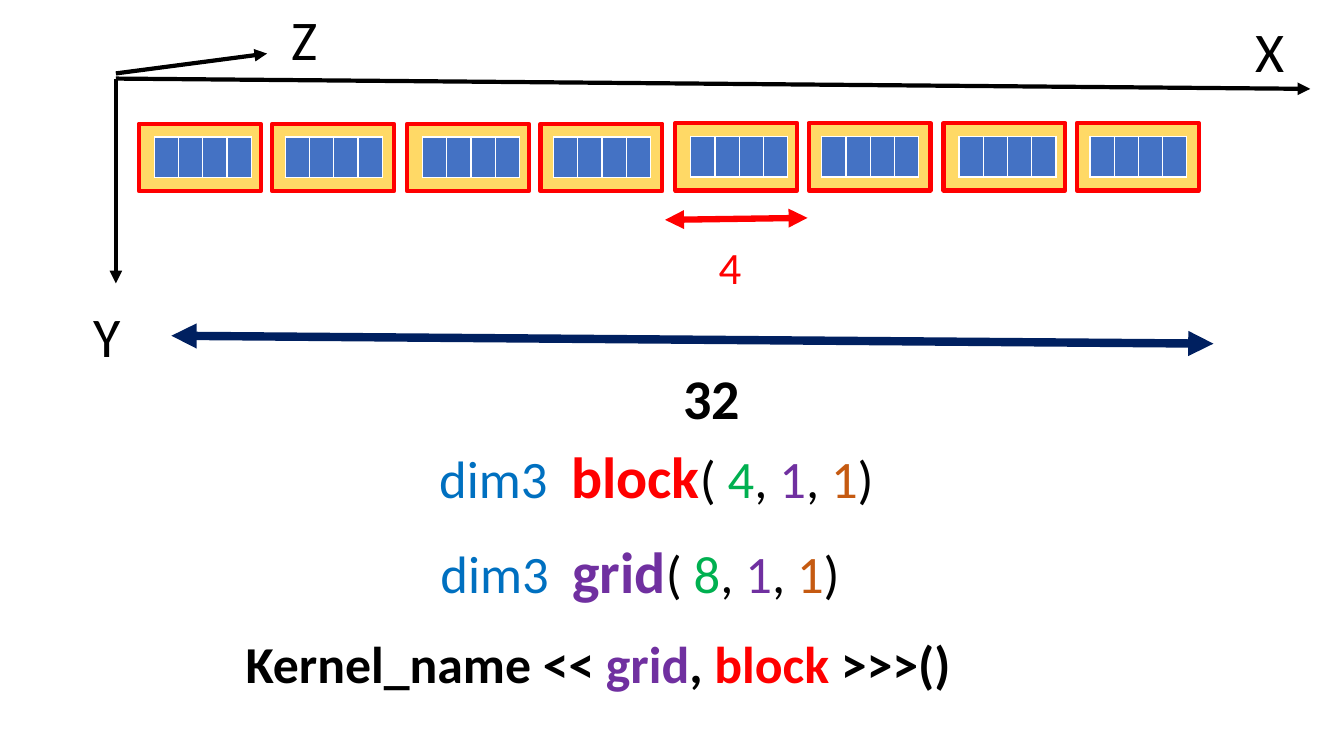
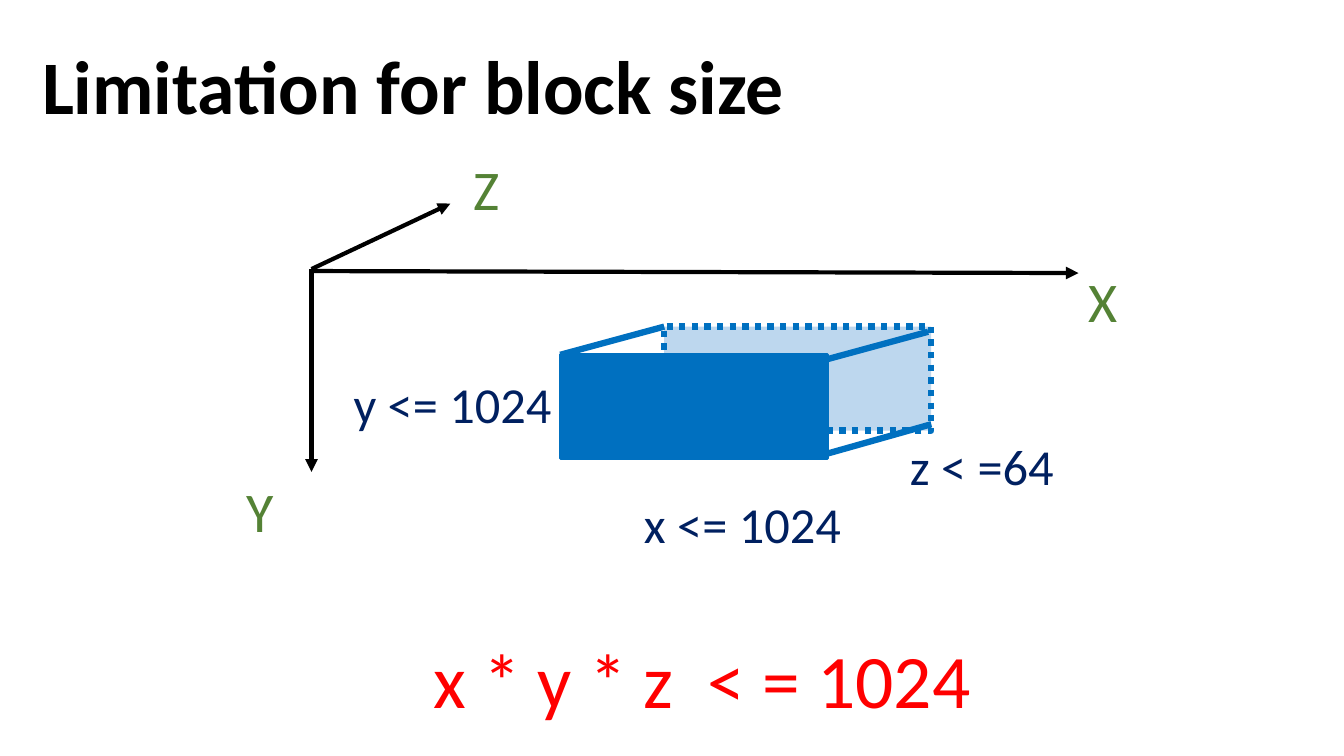
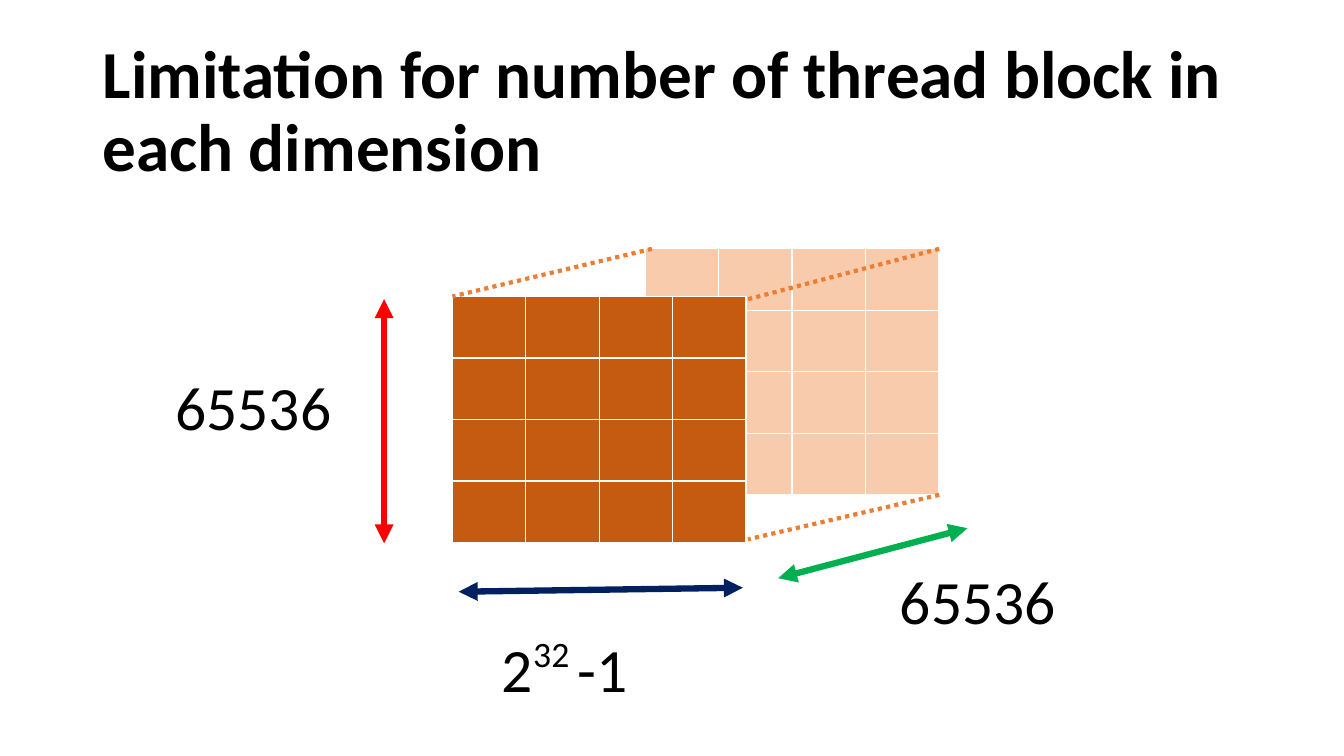
from pptx import Presentation
from pptx.dml.color import RGBColor
from pptx.enum.dml import MSO_LINE
from pptx.enum.shapes import MSO_CONNECTOR, MSO_SHAPE
from pptx.enum.text import MSO_ANCHOR
from pptx.oxml.ns import qn
from pptx.util import Cm, Pt
from lxml import etree

STRAIGHT = MSO_CONNECTOR.STRAIGHT
RECTANGLE = MSO_SHAPE.RECTANGLE
DOTTED = MSO_LINE.ROUND_DOT
TOP, MIDDLE = MSO_ANCHOR.TOP, MSO_ANCHOR.MIDDLE
color = RGBColor.from_string

FONT = "Calibri"
BLACK, RED, NAVY, BLUE = "000000", "FF0000", "002060", "0070C0"
GREEN, PURPLE, BROWN = "00B050", "7030A0", "C55A11"
AXIS_GREEN, ORANGE = "548235", "ED7D31"


def add_text(page, left, top, width, height, size, spans, bold=False,
             spacing=1.0, anchor=TOP):
    box = page.shapes.add_textbox(Cm(left), Cm(top), Cm(width), Cm(height))
    box.text_frame.word_wrap = True
    box.text_frame.vertical_anchor = anchor
    para = box.text_frame.paragraphs[0]
    para.line_spacing = spacing
    for text, tint in spans:
        span = para.add_run()
        span.text = text
        span.font.name = FONT
        span.font.size = Pt(size)
        span.font.bold = bold
        span.font.color.rgb = color(tint)
    return para


def add_line(page, start, end, tint, width, ends=(), dash=None):
    line = page.shapes.add_connector(STRAIGHT, Cm(start[0]), Cm(start[1]),
                                     Cm(end[0]), Cm(end[1]))
    line.line.color.rgb = color(tint)
    line.line.width = Pt(width)
    if dash:
        line.line.dash_style = dash
    outline = line.line._get_or_add_ln()
    for end_name in ends:
        etree.SubElement(outline, qn("a:" + end_name), type="triangle")
    etree.SubElement(line._element.spPr, qn("a:effectLst"))


ONE_WAY, TWO_WAY = ("tailEnd",), ("headEnd", "tailEnd")

deck = Presentation()
deck.slide_width, deck.slide_height = Cm(33.87), Cm(19.05)
layout = deck.slide_layouts[6]
launch, block_limit, grid_limit = [deck.slides.add_slide(layout) for _ in range(3)]

# Titles
for page, left, top, size, title in [
    (block_limit, 0.81, 0.43, 54, "Limitation for block size"),
    (grid_limit, 2.34, 1.02, 48,
     "Limitation for number of thread block in each dimension"),
]:
    add_text(page, left, top, 29.21, 3.68, size, [(title, BLACK)], bold=True,
             spacing=0.9, anchor=MIDDLE)

# Thread blocks (eight in pairs) and the solid block with its back face
rectangles = []
thread_grids = []
for index in range(8):
    pair, second = divmod(index, 2)
    top = 3.12 if index < 4 else 3.1
    rectangles.append((launch, 3.5 + 6.76 * pair + 3.36 * second, top,
                       3.07, 1.7, "FFD966", RED, 3, None))
    thread_grids.append((launch, 3.89 + 6.76 * pair + 3.3 * second, top + 0.33,
                         1, 0.61, 0.94, "4472C4"))
rectangles += [
    (block_limit, 16.74, 8.23, 6.73, 2.62, "BDD7EE", BLUE, 4.5, DOTTED),
    (block_limit, 14.12, 8.94, 6.73, 2.62, BLUE, BLUE, 2, None),
]
for page, left, top, width, height, fill, tint, weight, dash in rectangles:
    face = page.shapes.add_shape(RECTANGLE, Cm(left), Cm(top), Cm(width), Cm(height))
    face.shadow.inherit = False
    face.fill.solid()
    face.fill.fore_color.rgb = color(fill)
    face.line.color.rgb = color(tint)
    face.line.width = Pt(weight)
    if dash:
        face.line.dash_style = dash

# Grids of cells, four columns each
thread_grids += [
    (grid_limit, 16.26, 6.27, 4, 1.85, 1.55, "F8CBAD"),
    (grid_limit, 11.4, 7.47, 4, 1.85, 1.55, BROWN),
]
for page, left, top, rows, cell_width, cell_height, fill in thread_grids:
    grid = page.shapes.add_table(rows, 4, Cm(left), Cm(top), Cm(4 * cell_width),
                                 Cm(rows * cell_height)).table
    for cell in grid.iter_cells():
        cell.fill.solid()
        cell.fill.fore_color.rgb = color(fill)

# Axes
for page, start, end in [
    (launch, (2.92, 1.98), (33.02, 2.24)),
    (launch, (2.92, 1.85), (6.73, 1.35)),
    (launch, (2.92, 1.98), (2.92, 7.14)),
    (block_limit, (7.85, 6.83), (27.18, 6.88)),
    (block_limit, (7.85, 6.78), (11.35, 5.13)),
    (block_limit, (7.85, 6.78), (7.85, 11.89)),
]:
    add_line(page, start, end, BLACK, 3, ONE_WAY)

for page, tint, name, left, top in [
    (launch, BLACK, "Y", 2.11, 7.47),
    (launch, BLACK, "Z", 7.09, 0),
    (launch, BLACK, "X", 31.39, 0.3),
    (block_limit, AXIS_GREEN, "Y", 5.97, 11.89),
    (block_limit, AXIS_GREEN, "Z", 11.68, 3.78),
    (block_limit, AXIS_GREEN, "X", 27.18, 6.6),
]:
    add_text(page, left, top, 2.18, 1.96, 40, [(name, tint)])

# Depth edges
for start, end in [
    ((14.12, 8.94), (16.74, 8.23)),
    ((20.78, 9.07), (23.39, 8.36)),
    ((20.85, 11.43), (23.47, 10.69)),
]:
    add_line(block_limit, start, end, BLUE, 4.5)
for start, end in [
    ((16.43, 6.27), (11.4, 7.47)),
    ((23.67, 6.27), (18.85, 7.54)),
    ((23.67, 12.47), (18.85, 13.59)),
]:
    add_line(grid_limit, start, end, ORANGE, 3, dash=DOTTED)

# Dimension arrows
for page, start, end, tint, weight in [
    (launch, (4.32, 8.46), (30.58, 8.66), NAVY, 6),
    (launch, (16.76, 5.54), (20.35, 5.49), RED, 4.5),
    (grid_limit, (11.56, 14.91), (18.72, 14.81), NAVY, 4.5),
    (grid_limit, (9.68, 13.69), (9.68, 7.54), RED, 4.5),
    (grid_limit, (19.61, 14.57), (24.38, 13.31), GREEN, 4.5),
]:
    add_line(page, start, end, tint, weight, TWO_WAY)

# Dimension labels
add_text(launch, 16.97, 9.04, 5.08, 1.96, 40, [("32", BLACK)], bold=True)
add_text(launch, 17.86, 5.92, 2.49, 1.6, 32, [("4", RED)])
for label, left, top in [("z < =64", 22.68, 10.85), ("x <= 1024", 15.98, 12.29),
                         ("y <= 1024", 8.66, 9.27)]:
    add_text(block_limit, left, top, 6.9, 1.78, 36, [(label, NAVY)])
add_text(block_limit, 10.67, 15.82, 15.4, 2.6, 54, [("x * y * z  < = 1024", RED)])
for left, top in [(4.17, 9.17), (22.43, 14.07)]:
    add_text(grid_limit, left, top, 4.78, 2.11, 44, [("65536", BLACK)])
power = add_text(grid_limit, 12.4, 15.77, 6.45, 2.11, 44,
                 [("2", BLACK), ("32 ", BLACK), ("-1", BLACK)])
power.runs[1].font._element.set("baseline", "40000")

# Kernel launch code
for name, tint, count, left, top in [("block", RED, "4", 10.82, 11.18),
                                     ("grid", PURPLE, "8", 10.85, 13.56)]:
    para = add_text(launch, left, top, 13.13, 2.2, 37.6, [
        ("dim3  ", BLUE), (name, tint), ("( ", BLACK), (count, GREEN), (", ", BLACK),
        ("1", PURPLE), (", ", BLACK), ("1", BROWN), (")", BLACK)], spacing=0.9)
    para.space_before = Pt(10)
    para.runs[1].font.size = Pt(41.4)
    para.runs[1].font.bold = True
para = add_text(launch, 5.94, 15.98, 23.42, 2.2, 37, [
    ("Kernel_name <<", BLACK), (" grid", PURPLE), (", ", BLACK), ("block ", RED),
    (">>>()", BLACK)], bold=True, spacing=0.9)
para.space_before = Pt(10)

deck.save("out.pptx")
